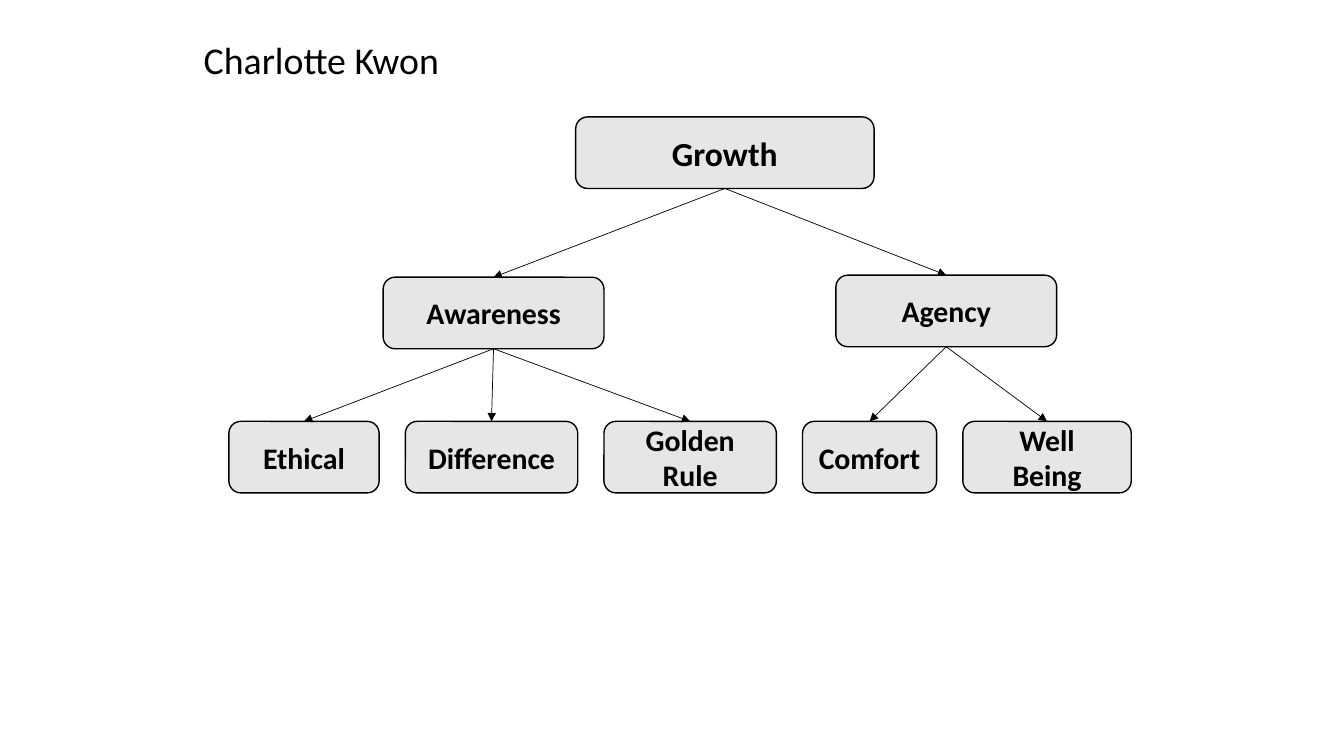
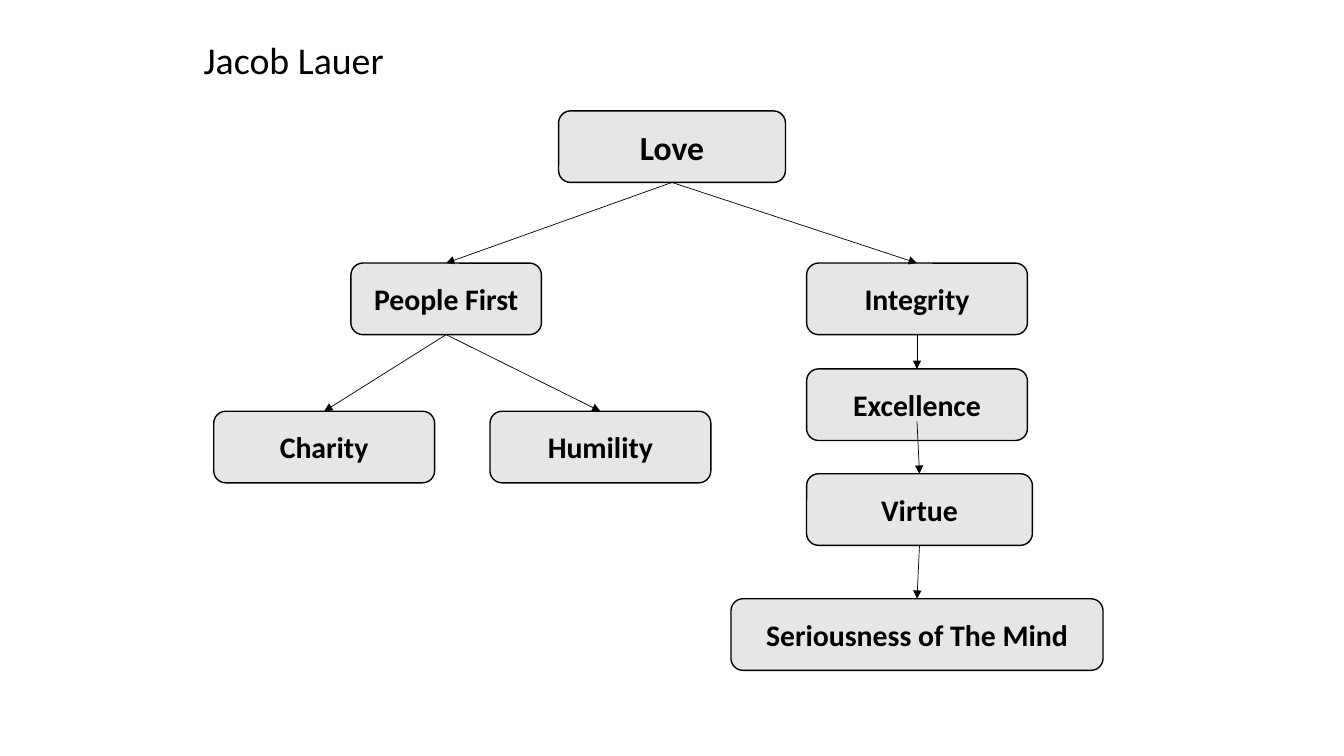
import dataclasses

import pptx
import pptx.dml.color
import pptx.enum.shapes
import pptx.enum.text
import pptx.oxml
import pptx.oxml.ns
import pptx.util

Inches = pptx.util.Inches
Pt = pptx.util.Pt
PP_ALIGN = pptx.enum.text.PP_ALIGN
BOTTOM_SITE, TOP_SITE = 2, 0


@dataclasses.dataclass(frozen=True)
class Theme:
    font: str = "Calibri"
    ink: pptx.dml.color.RGBColor = pptx.dml.color.RGBColor(0, 0, 0)
    box_fill: pptx.dml.color.RGBColor = pptx.dml.color.RGBColor(0xE7, 0xE6, 0xE6)
    title_size: float = 27
    root_size: float = 24
    value_size: float = 21.3
    box_line: float = 1
    arrow_line: float = 0.5
    box_height: float = 0.71


THEME = Theme()


@dataclasses.dataclass(frozen=True)
class Value:
    label: str
    left: float
    top: float
    width: float
    parent: str = ""
    arrow_top: float = 0  # start height, when not the parent's lower edge


def value_row(left, top, gap, entries):
    """Place (label, width, parent) entries side by side with equal gaps."""
    values = []
    for label, width, parent in entries:
        values.append(Value(label, left, top, width, parent))
        left += width + gap
    return values


def format_text(text_frame, alignment, size, bold):
    frame_format = {
        "word_wrap": True,
        "auto_size": pptx.enum.text.MSO_AUTO_SIZE.NONE,
        "vertical_anchor": pptx.enum.text.MSO_ANCHOR.MIDDLE,
    }
    for name, setting in frame_format.items():
        setattr(text_frame, name, setting)
    font_format = {"name": THEME.font, "size": Pt(size), "bold": bold}
    for paragraph in text_frame.paragraphs:
        paragraph.alignment = alignment
        for run in paragraph.runs:
            for name, setting in font_format.items():
                setattr(run.font, name, setting)
            run.font.color.rgb = THEME.ink


def set_title(slide, text):
    title = slide.shapes.title
    place = {"left": 1.92, "top": 0.32, "width": 7.86, "height": 0.53}
    for name, length in place.items():
        setattr(title, name, Inches(length))
    title.text_frame.text = text
    format_text(title.text_frame, PP_ALIGN.LEFT, THEME.title_size, False)


def set_line(line, width):
    line.color.rgb = THEME.ink
    line.width = Pt(width)


def add_box(slide, value):
    box = slide.shapes.add_shape(
        pptx.enum.shapes.MSO_SHAPE.ROUNDED_RECTANGLE,
        Inches(value.left), Inches(value.top),
        Inches(value.width), Inches(THEME.box_height),
    )
    box.shadow.inherit = False
    box.fill.solid()
    box.fill.fore_color.rgb = THEME.box_fill
    set_line(box.line, THEME.box_line)
    box.text_frame.text = value.label
    size = THEME.value_size if value.parent else THEME.root_size
    format_text(box.text_frame, PP_ALIGN.CENTER, size, True)
    return box


def add_arrow(slide, parent_box, child_box, arrow_top):
    center = parent_box.left + parent_box.width // 2
    arrow = slide.shapes.add_connector(
        pptx.enum.shapes.MSO_CONNECTOR.STRAIGHT,
        center, Inches(arrow_top), center, child_box.top,
    )
    if not arrow_top:
        arrow.begin_connect(parent_box, BOTTOM_SITE)
    arrow.end_connect(child_box, TOP_SITE)
    set_line(arrow.line, THEME.arrow_line)
    namespace = pptx.oxml.ns.nsdecls("a")
    arrow.line._get_or_add_ln().append(
        pptx.oxml.parse_xml(f'<a:tailEnd {namespace} type="triangle"/>')
    )
    arrow._element.spPr.append(pptx.oxml.parse_xml(f"<a:effectLst {namespace}/>"))


def add_value_tree(presentation, person, values):
    slide = presentation.slides.add_slide(
        presentation.slide_layouts.get_by_name("Title Only")
    )
    set_title(slide, person)
    boxes = {value.label: add_box(slide, value) for value in values}
    for value in values:
        if value.parent:
            add_arrow(slide, boxes[value.parent], boxes[value.label], value.arrow_top)


def growth_values():
    return [
        Value("Growth", 5.71, 1.16, 2.96),
        Value("Awareness", 3.8, 2.75, 2.19, "Growth"),
        Value("Agency", 8.29, 2.73, 2.19, "Growth"),
        *value_row(2.27, 4.18, 0.26, [
            ("Ethical", 1.49, "Awareness"),
            ("Difference", 1.71, "Awareness"),
            ("Golden Rule", 1.71, "Awareness"),
            ("Comfort", 1.33, "Agency"),
            ("Well\nBeing", 1.67, "Agency"),
        ]),
    ]


def love_values():
    return [
        Value("Love", 5.54, 1.1, 2.25),
        Value("People First", 3.48, 2.61, 1.89, "Love"),
        Value("Integrity", 8, 2.61, 2.19, "Love"),
        *value_row(2.12, 4.08, 0.55, [
            ("Charity", 2.19, "People First"),
            ("Humility", 2.19, "People First"),
        ]),
        Value("Excellence", 8, 3.66, 2.19, "Integrity"),
        Value("Virtue", 8, 4.7, 2.24, "Excellence", arrow_top=4.18),
        Value("Seriousness of The Mind", 7.25, 5.94, 3.69, "Virtue"),
    ]


def main():
    presentation = pptx.Presentation()
    presentation.slide_width = Inches(13.33)
    presentation.slide_height = Inches(7.5)
    add_value_tree(presentation, "Charlotte Kwon", growth_values())
    add_value_tree(presentation, "Jacob Lauer", love_values())
    presentation.save("out.pptx")


if __name__ == "__main__":
    main()
